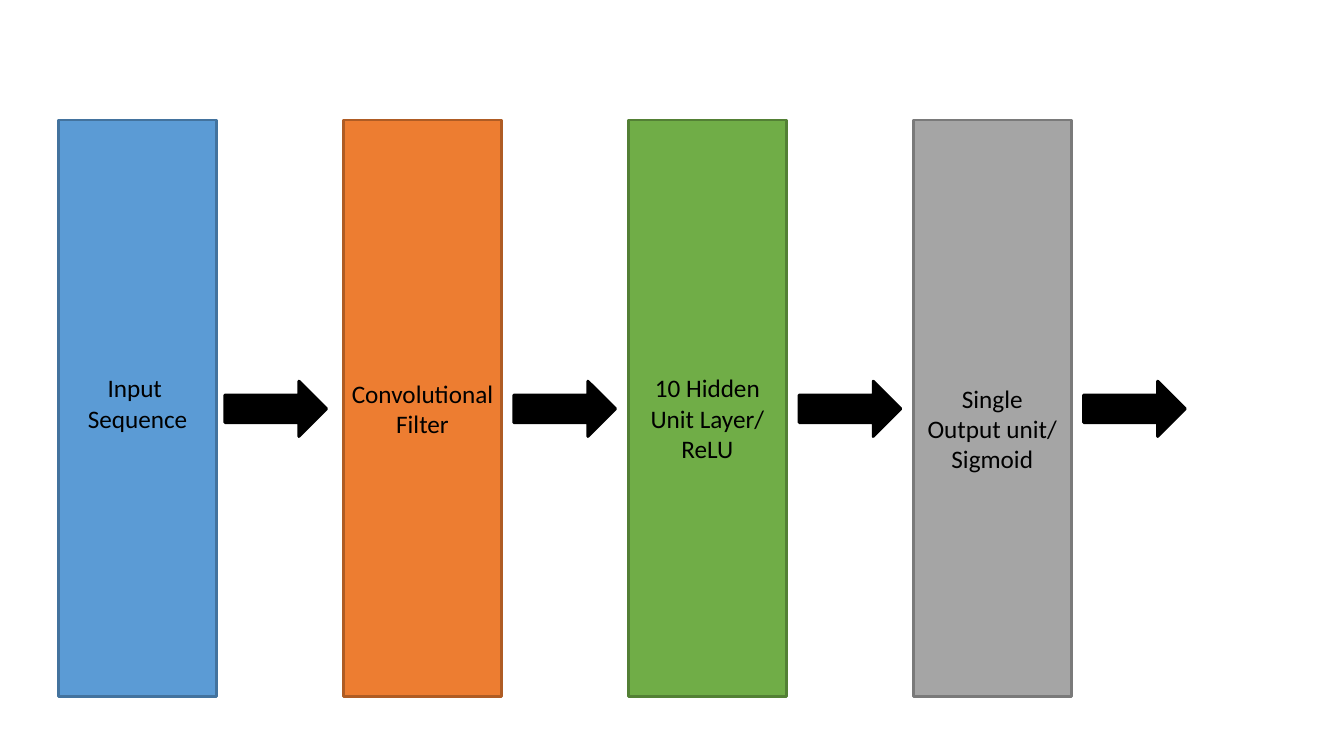
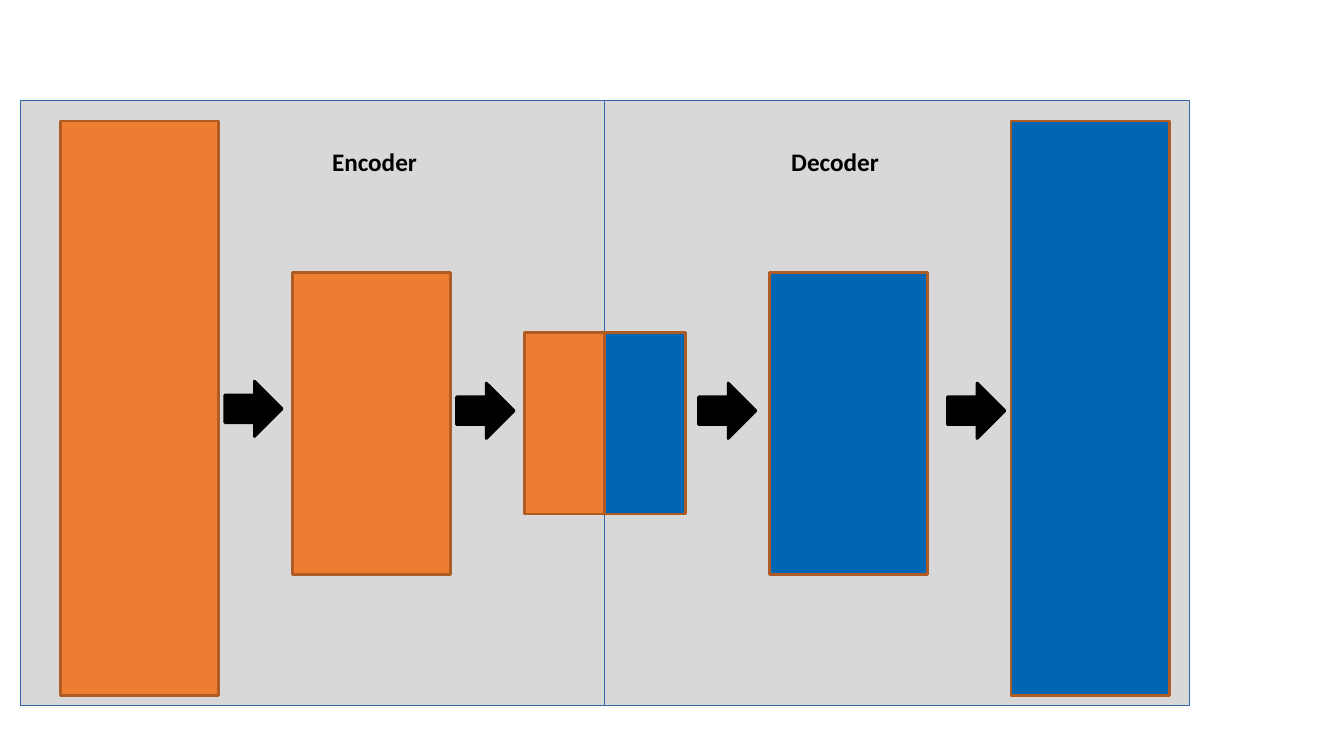
from lxml.etree import SubElement
from pptx import Presentation
from pptx.dml.color import RGBColor
from pptx.enum.shapes import MSO_SHAPE
from pptx.enum.text import MSO_ANCHOR, PP_ALIGN
from pptx.oxml.ns import qn
from pptx.util import Pt

BLACK, GREY, EDGE = "000000", "808080", "3465A4"
ORANGE, RUST, BLUE = "ED7D31", "AF5C24", "0066B3"
BAR, TALL, HEAD = 113, 410.4, 39.6
FRAME = {"word_wrap": True, "vertical_anchor": MSO_ANCHOR.TOP,
         "margin_left": Pt(7.2), "margin_right": Pt(7.2),
         "margin_top": Pt(3.6), "margin_bottom": Pt(3.6)}
FONT = {"name": "Calibri", "size": Pt(18)}


def apply(item, values):
    for key, value in values.items():
        setattr(item, key, value)


def paint(fill, color, alpha=100):
    fill.solid()
    fill.fore_color.rgb = RGBColor.from_string(color)
    if alpha < 100:
        node = fill._xPr.find(qn("a:solidFill"))[0]
        SubElement(node, qn("a:alpha")).set("val", str(alpha * 1000))


def draw(slide, box, color, edge, kind=MSO_SHAPE.RECTANGLE, width=2, alpha=100):
    shape = slide.shapes.add_shape(kind, *map(Pt, box))
    shape.shadow.inherit = False
    paint(shape.fill, color, alpha)
    paint(shape.line.fill, edge)
    shape.line.width = Pt(width)


def arrow(slide, left, top, width):
    draw(slide, (left, top, width, HEAD), BLACK, BLACK, MSO_SHAPE.RIGHT_ARROW)


def label(slide, box, lines, bold=False):
    frame = slide.shapes.add_textbox(*map(Pt, box)).text_frame
    apply(frame, FRAME)
    frame.text = "\n".join(lines)
    for para in frame.paragraphs:
        para.alignment = PP_ALIGN.CENTER
        for run in para.runs:
            apply(run.font, FONT | {"bold": bold})
            paint(run.font.fill, BLACK)


def layer(slide, box, color, edge, lines, drop, grow, gap):
    left, top, width, height = box
    draw(slide, box, color, edge)
    arrow(slide, left + width + gap, top + 186.5, 72.7)
    label(slide, (left - grow, top + drop, width + 2 * grow, 50), lines)


def network(slide, box):
    left, top, pitch, height = box
    layers = [
        ("5B9BD5", "43739E", ["Input ", "Sequence"], 177, 0, 5.8),
        (ORANGE, RUST, ["Convolutional Filter"], 180.7, 4.3, 8.7),
        ("70AD47", "538035", ["10 Hidden Unit Layer/ ReLU"], 177, 0, 9),
        ("A5A5A5", "7A7A7A", ["Single Output unit/ Sigmoid"], 184.3, 0, 8.7)]
    for i, parts in enumerate(layers):
        layer(slide, (left + i * pitch, top, BAR, height), *parts)


def half(slide, box, color, name, shift, bars, arrows):
    left, top, width, height = box
    for x, y, wide, high in bars:
        draw(slide, (left + x, top + y, wide, high), color, RUST)
    for x, y in arrows:
        arrow(slide, left + x, top + y, 41)
    label(slide, (left + shift, top + 28.8, BAR, 28.8), [name], True)


def coder(slide, box):
    left, top, width, height = box
    size = width / 2
    halves = [
        (ORANGE, "Encoder", 196.6,
         [(28.8, 14.4, BAR, TALL), (194.4, 122.4, BAR, 216),
          (360, 165.6, 57.6, 129.6)],
         [(146.2, 200.2), (311.8, 201.6)]),
        (BLUE, "Decoder", 108,
         [(0, 165.6, 57.6, 129.6), (117.4, 122.4, BAR, 216),
          (290.2, 14.4, BAR, TALL)],
         [(67, 201.6), (244.8, 201.6)])]
    boxes = [(left + i * size, top, size, height) for i in range(2)]
    for area in boxes:
        draw(slide, area, GREY, EDGE, width=0.75, alpha=30)
    for area, parts in zip(boxes, halves):
        half(slide, area, *parts)


deck = Presentation()
apply(deck, {"slide_width": Pt(960), "slide_height": Pt(540)})
for build, box in [(network, (41.8, 85.7, 203.5, 411.8)),
                   (coder, (14.4, 72, 835.2, 432))]:
    build(deck.slides.add_slide(deck.slide_layouts[6]), box)
deck.save("out.pptx")
